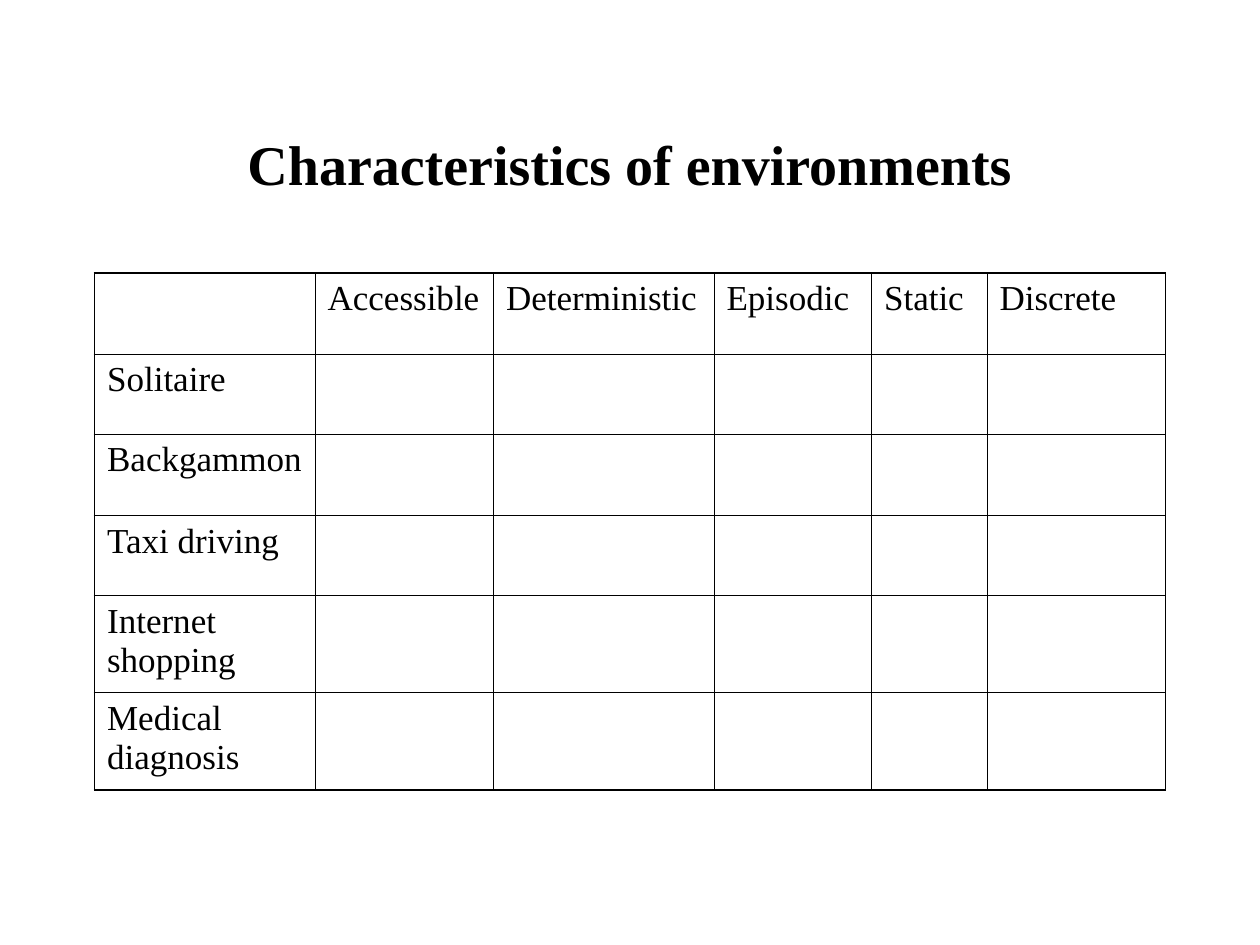
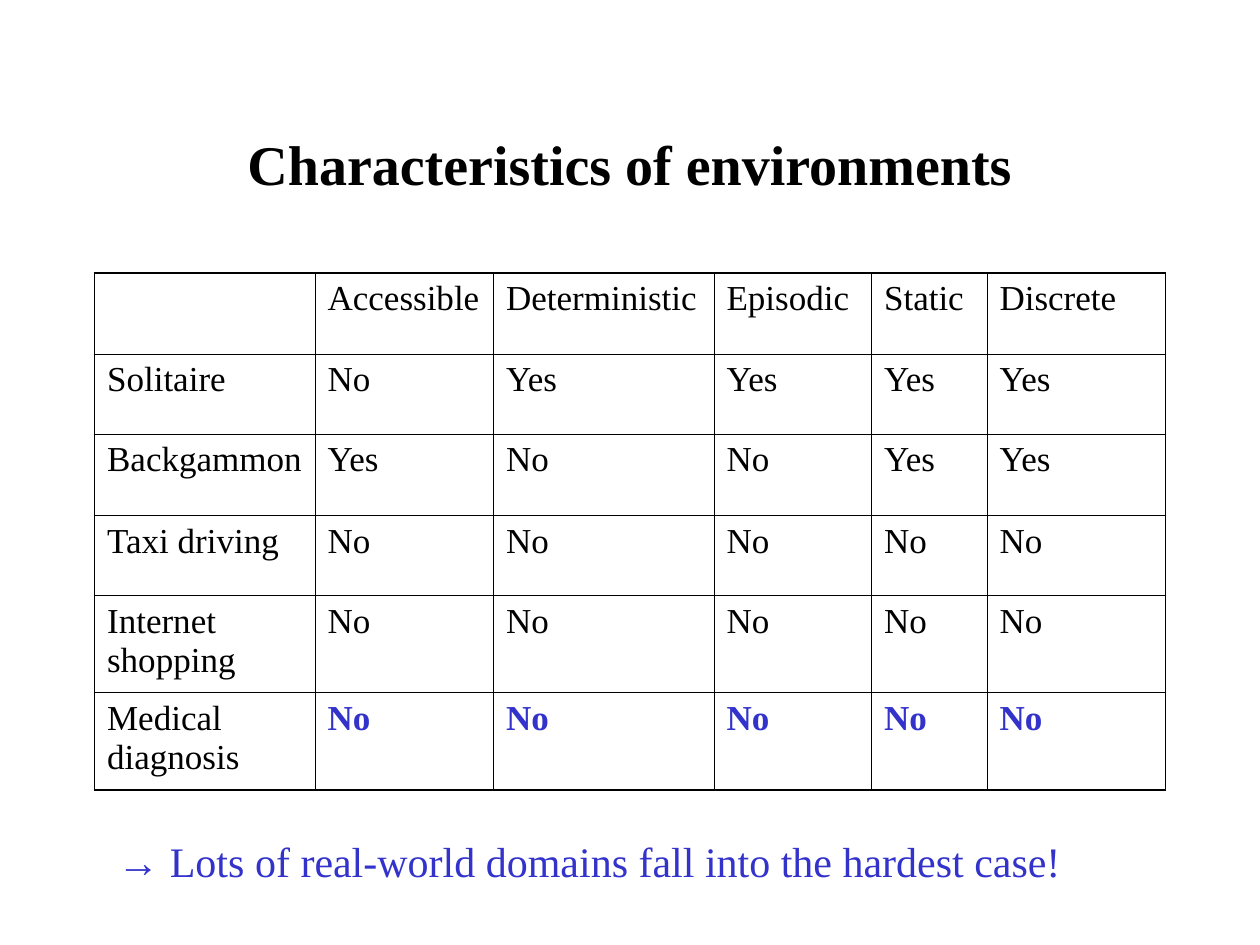
from lxml.etree import SubElement
from pptx import Presentation
from pptx.dml.color import RGBColor
from pptx.enum.text import MSO_ANCHOR, MSO_AUTO_SIZE, PP_ALIGN
from pptx.oxml.ns import qn
from pptx.util import Emu, Pt

# Shared look
FONT = "Times New Roman"
BLACK, BLUE = "000000", "3333CC"
THIN, THICK = 0.45, 1.08
TITLE_ONLY = 5

# Regions as left, top, width, height in px
TITLE_BOX = (72, 64, 816, 120)
TABLE_BOX = (72, 208, 816, 394)
NOTE_BOX = (80, 632, 808, 48)
COLUMN_WIDTHS = (168, 136, 168, 120, 88, 136)
ROW_HEIGHTS = (62, 61, 62, 61, 74, 74)

# Wording
TITLE = "Characteristics of environments"
PROPERTIES = ("Accessible", "Deterministic", "Episodic", "Static", "Discrete")
ENVIRONMENTS = ("Solitaire", "Backgammon", "Taxi driving",
                "Internet shopping", "Medical diagnosis")
ANSWERS = (
    ("No", "Yes", "Yes", "Yes", "Yes"),
    ("Yes", "No", "No", "Yes", "Yes"),
    ("No",) * 5,
    ("No",) * 5,
    ("No",) * 5,
)
UNANSWERED = (("",) * 5,) * 5
NOTE = "→ Lots of real-world domains fall into the hardest case!"


def px(length):
    return Emu(length * 9525)


def color(value):
    return RGBColor.from_string(value)


def write(frame, text, size, ink=BLACK, bold=False, before=0, align=PP_ALIGN.LEFT):
    frame.text = text
    para = frame.paragraphs[0]
    para.alignment = align
    para.space_before = Pt(before)
    font = para.font
    font.name, font.size, font.bold = FONT, Pt(size), bold
    font.color.rgb = color(ink)


def add_border(cell, side, width):
    line = SubElement(cell._tc.get_or_add_tcPr(), qn(f"a:ln{side}"), w=str(Pt(width)))
    fill = SubElement(line, qn("a:solidFill"))
    SubElement(fill, qn("a:srgbClr"), val=BLACK)


def place_title(page, box):
    title = page.shapes.title
    title.left, title.top, title.width, title.height = map(px, box)
    title.text_frame.vertical_anchor = MSO_ANCHOR.MIDDLE
    write(title.text_frame, TITLE, 32, bold=True, align=PP_ALIGN.CENTER)


def add_environment_table(page, box, answers):
    rows = [("", *PROPERTIES)]
    rows += [(name, *marks) for name, marks in zip(ENVIRONMENTS, answers)]
    last_row, last_column = len(rows) - 1, len(PROPERTIES)
    table = page.shapes.add_table(last_row + 1, last_column + 1, *map(px, box)).table
    table.first_row = table.horz_banding = False
    for column, width in zip(table.columns, COLUMN_WIDTHS):
        column.width = px(width)
    for row, height in zip(table.rows, ROW_HEIGHTS):
        row.height = px(height)

    for r, texts in enumerate(rows):
        for c, text in enumerate(texts):
            cell = table.cell(r, c)
            # The hardest case stands out
            hardest = r == last_row and c > 0
            write(cell.text_frame, text, 20, BLUE if hardest else BLACK, hardest, 5)
            # Thick outer frame, thin inner grid
            outer = {"L": c == 0, "R": c == last_column, "T": r == 0, "B": r == last_row}
            for side, on_frame in outer.items():
                add_border(cell, side, THICK if on_frame else THIN)
            cell.fill.background()


def add_note(page, box):
    frame = page.shapes.add_textbox(*map(px, box)).text_frame
    frame.word_wrap = True
    frame.auto_size = MSO_AUTO_SIZE.SHAPE_TO_FIT_TEXT
    write(frame, NOTE, 24, BLUE, before=15)


def add_environment_page(deck, answers):
    page = deck.slides.add_slide(deck.slide_layouts[TITLE_ONLY])
    place_title(page, TITLE_BOX)
    add_environment_table(page, TABLE_BOX, answers)
    return page


def main():
    deck = Presentation()
    deck.slide_width, deck.slide_height = px(960), px(720)
    add_environment_page(deck, UNANSWERED)
    answered = add_environment_page(deck, ANSWERS)
    add_note(answered, NOTE_BOX)
    deck.save("out.pptx")


if __name__ == "__main__":
    main()
